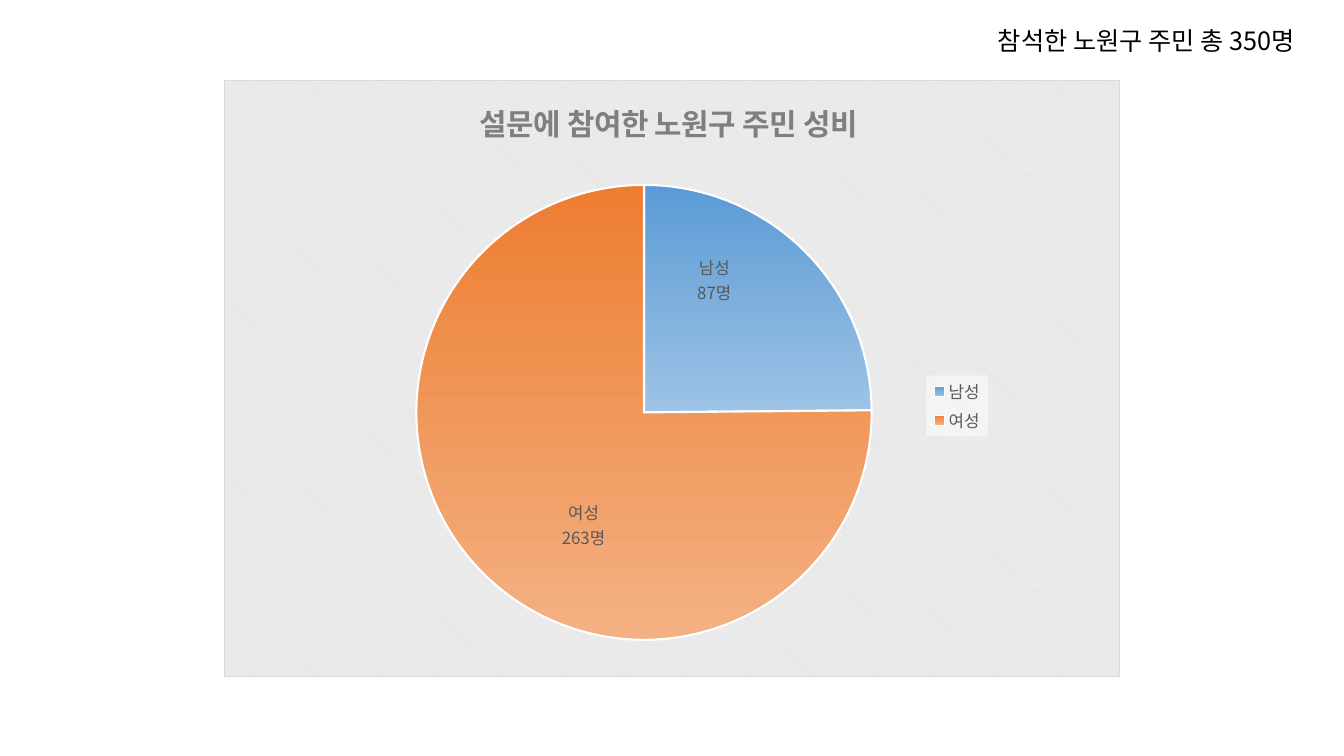
"""Build a slide with a pie chart of survey participants by gender."""
from dataclasses import dataclass

from lxml.etree import SubElement
from pptx import Presentation
from pptx.chart.data import CategoryChartData
from pptx.dml.color import RGBColor as Color
from pptx.enum.chart import XL_CHART_TYPE as ChartType
from pptx.enum.chart import XL_LABEL_POSITION as LabelPosition
from pptx.enum.chart import XL_LEGEND_POSITION as LegendPosition
from pptx.enum.text import MSO_AUTO_SIZE as AutoSize
from pptx.oxml import parse_xml
from pptx.oxml.ns import nsdecls, qn
from pptx.util import Inches, Pt


@dataclass(frozen=True)
class Theme:
    font: str = "Noto Sans CJK KR"
    text: str = "000000"
    muted: str = "595959"
    heading: str = "7F7F7F"
    white: str = "FFFFFF"
    stripe: str = "E6E6E6"
    border: str = "D9D9D9"
    slices: tuple = (("5B9BD5", "9DC3E6"), ("ED7D31", "F4B183"))
    note_size: float = 18
    title_size: float = 21.3
    label_size: float = 12


class SlideBuilder:
    def __init__(self, slide, theme):
        self.slide = slide
        self.theme = theme

    def apply(self, target, values):
        for name, value in values.items():
            setattr(target, name, value)

    def style_font(self, font, size, color, bold=False):
        self.apply(font, {"name": self.theme.font, "size": Pt(size), "bold": bold})
        font.color.rgb = Color.from_string(color)

    def set_east_asian_font(self, element):
        for latin in list(element.iter(qn("a:latin"))):
            latin.addnext(parse_xml(f'<a:ea {nsdecls("a")} typeface="{self.theme.font}"/>'))

    def add_note(self, text, *box):
        shape = self.slide.shapes.add_textbox(*map(Inches, box))
        frame = shape.text_frame
        self.apply(frame, {"word_wrap": False, "auto_size": AutoSize.SHAPE_TO_FIT_TEXT})
        run = frame.paragraphs[0].add_run()
        run.text = text
        self.style_font(run.font, self.theme.note_size, self.theme.text)
        self.set_east_asian_font(shape.element)

    def set_layout(self, element, index, **values):
        for old in element.findall(qn("c:layout")):
            element.remove(old)
        layout = parse_xml(f"<c:layout {nsdecls('c')}><c:manualLayout/></c:layout>")
        for name, value in values.items():
            SubElement(layout[0], qn(f"c:{name}")).set("val", str(value))
        element.insert(index, layout)

    def add_pie(self, title, counts, unit, offsets, *box):
        data = CategoryChartData()
        data.categories = list(counts)
        data.add_series("Series 1", list(counts.values()))
        frame = self.slide.shapes.add_chart(ChartType.PIE, *map(Inches, box), data)
        chart = frame.chart
        self.style_font(chart.font, 10, self.theme.text)
        self.style_title(chart, title)
        self.style_legend(chart)
        self.style_background(chart)
        plot_area = chart.element.find(".//" + qn("c:plotArea"))
        self.set_layout(plot_area, 0, layoutTarget="inner", xMode="edge", yMode="edge",
                        x=0.2143, y=0.1756, w=0.509, h=0.7625)
        plot = chart.plots[0]
        plot.vary_by_categories = True
        series = plot.series[0]
        self.apply(series.data_labels, {"show_value": True, "show_category_name": True,
                                        "show_percentage": False, "show_legend_key": False,
                                        "position": LabelPosition.OUTSIDE_END})
        self.style_font(series.data_labels.font, self.theme.label_size, self.theme.muted)
        entries = zip(counts.items(), self.theme.slices, offsets)
        for index, ((category, count), colors, offset) in enumerate(entries):
            point = series.points[index]
            self.style_slice(point, colors)
            self.add_label(point.data_label, f"{category}\n{count}{unit}")
            label = chart.element.findall(".//" + qn("c:dLbl"))[index]
            label.find(qn("c:showCatName")).set("val", "1")
            self.set_layout(label, 1, x=offset[0], y=offset[1])
        self.set_east_asian_font(chart.element)

    def style_title(self, chart, text):
        chart.has_title = True
        paragraph = chart.chart_title.text_frame.paragraphs[0]
        run = paragraph.add_run()
        run.text = text
        for font in (paragraph.font, run.font):
            self.style_font(font, self.theme.title_size, self.theme.heading, True)
        title = chart.element.find(".//" + qn("c:title"))
        self.set_layout(title, 1, xMode="edge", yMode="edge", x=0.279, y=0.022)

    def style_legend(self, chart):
        chart.has_legend = True
        self.apply(chart.legend, {"position": LegendPosition.RIGHT, "include_in_layout": False})
        self.style_font(chart.legend.font, self.theme.label_size, self.theme.muted)
        legend = chart.element.find(".//" + qn("c:legend"))
        self.set_layout(legend, 1, xMode="edge", yMode="edge", x=0.784, y=0.495, w=0.069, h=0.102)
        legend.find(qn("c:overlay")).addnext(parse_xml(
            f'<c:spPr {nsdecls("c", "a")}><a:solidFill><a:srgbClr val="{self.theme.white}">'
            '<a:alpha val="50000"/></a:srgbClr></a:solidFill></c:spPr>'))

    def style_background(self, chart):
        chart.element.find(qn("c:chart")).addnext(parse_xml(
            f'<c:spPr {nsdecls("c", "a")}><a:pattFill prst="dkDnDiag">'
            f'<a:fgClr><a:srgbClr val="{self.theme.white}"/></a:fgClr>'
            f'<a:bgClr><a:srgbClr val="{self.theme.stripe}"/></a:bgClr></a:pattFill>'
            f'<a:ln w="{Pt(0.75)}"><a:solidFill><a:srgbClr val="{self.theme.border}"/>'
            '</a:solidFill></a:ln></c:spPr>'))

    def style_slice(self, point, colors):
        fill, line = point.format.fill, point.format.line
        fill.gradient()
        fill.gradient_angle = 270
        for stop, color in zip(fill.gradient_stops, colors):
            stop.color.rgb = Color.from_string(color)
        line.width = Pt(1.5)
        line.color.rgb = Color.from_string(self.theme.white)

    def add_label(self, label, text):
        label.text_frame.text = text
        label.position = LabelPosition.CENTER
        for paragraph in label.text_frame.paragraphs:
            for run in paragraph.runs:
                self.style_font(run.font, self.theme.label_size, self.theme.muted)


def main():
    presentation = Presentation()
    presentation.slide_width = Inches(13.33)
    presentation.slide_height = Inches(7.5)
    slide = presentation.slides.add_slide(presentation.slide_layouts[6])
    builder = SlideBuilder(slide, Theme())
    builder.add_pie("설문에 참여한 노원구 주민 성비", {"남성": 87, "여성": 263}, "명",
                    ((-0.011, -0.087), (0.022, 0.053)), 2.22, 0.79, 8.89, 5.93)
    builder.add_note("참석한 노원구 주민 총 350명", 9.8, 0.2, 3.5, 0.4)
    presentation.save("out.pptx")


if __name__ == "__main__":
    main()
